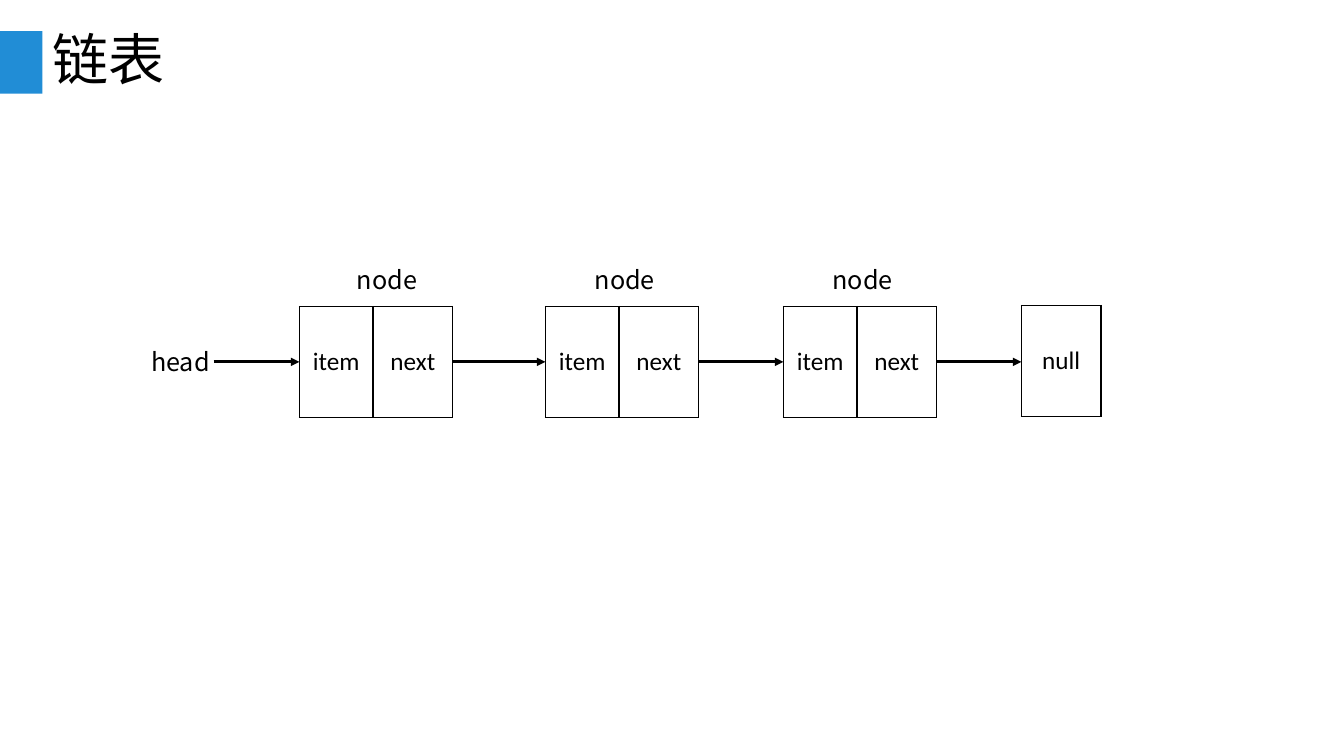
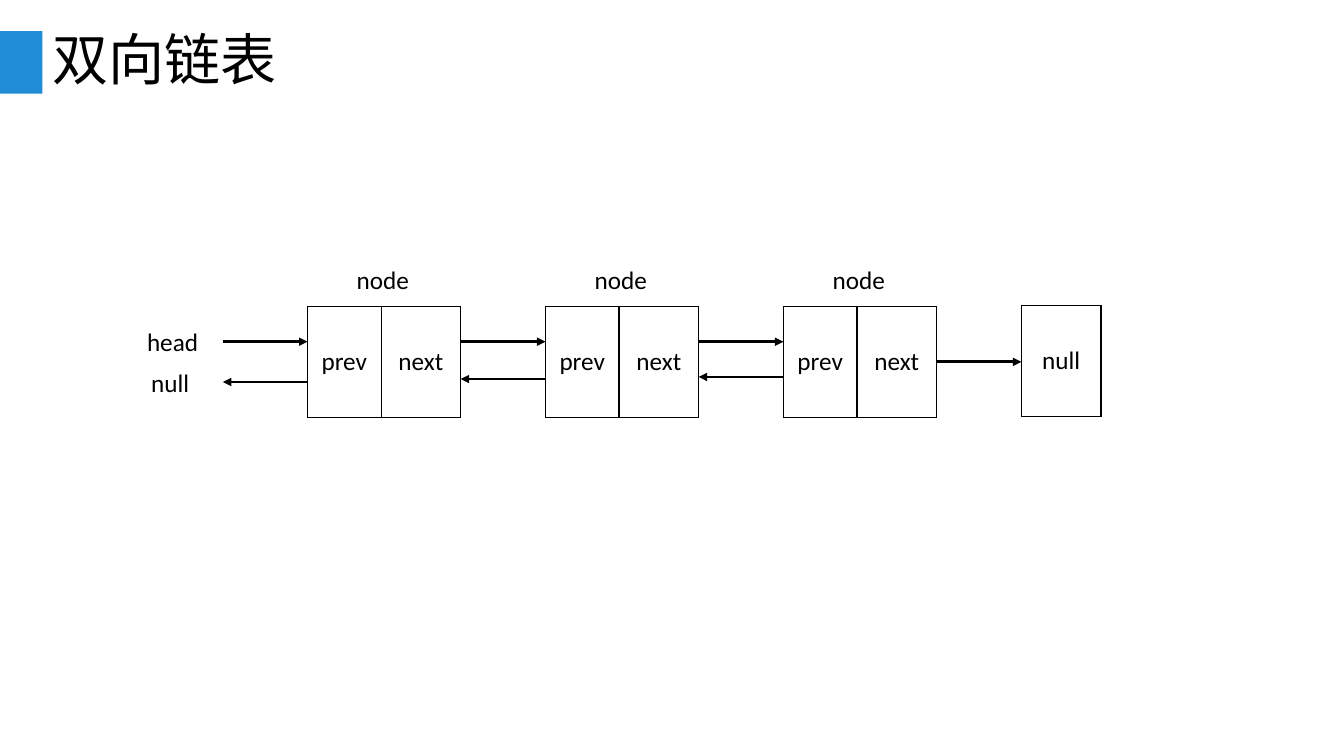
from dataclasses import dataclass
from typing import Any

from lxml import etree
from pptx import Presentation
from pptx import util as u
from pptx.dml import color
from pptx.enum import shapes, text
from pptx.oxml import ns

BLACK = "000000"
ACCENT = "218DD6"
SANS = "Noto Sans CJK SC"
CALIBRI = "Calibri"
PITCH = 2.36
NODE_LEFT = 3.05
NODE_TOP = 3.04
NODE_HEIGHT = 1.1
NODE_COLUMNS = (0.73, 0.79)
NODE_COUNT = 3
LABEL_LEFT = 3.44
LABEL_TOP = 2.57
LABEL_HEIGHT = 0.4
NULL_WIDTH = 0.79


@dataclass(frozen=True)
class Label:
    words: str
    left: float
    top: float
    width: float


@dataclass(frozen=True)
class LinkedList:
    title: str
    fields: tuple[str, str]
    first_left: float
    label_font: str
    label_width: float
    end_labels: tuple[Label, ...]
    head_end: float
    forward: tuple[float, ...]
    backward: tuple[float, ...] = ()


LISTS = (
    LinkedList(
        title="链表",
        fields=("item", "next"),
        first_left=2.97,
        label_font=SANS,
        label_width=0.82,
        end_labels=(Label("head", 1.4, 3.39, 0.8),),
        head_end=2.12,
        forward=(3.59, 3.59, 3.59, 3.59),
    ),
    LinkedList(
        title="双向链表",
        fields=("prev", "next"),
        first_left=NODE_LEFT,
        label_font=CALIBRI,
        label_width=0.73,
        end_labels=(Label("head", 1.36, 3.19, 0.72), Label("null", 1.4, 3.59, 0.58)),
        head_end=2.21,
        forward=(3.39, 3.39, 3.39, 3.59),
        backward=(3.79, 3.76, 3.74),
    ),
)


def rgb(value: str) -> color.RGBColor:
    return color.RGBColor.from_string(value)


def apply(target: Any, values: dict[str, Any]) -> None:
    for name, value in values.items():
        setattr(target, name, value)


def write(frame: Any, words: str, font: str, size: float, layout: dict[str, Any]) -> None:
    paragraph = frame.paragraphs[0]
    apply(paragraph, layout)
    run = paragraph.add_run()
    run.text = words
    apply(run.font, {"name": font, "size": u.Pt(size)})
    run.font.color.rgb = rgb(BLACK)
    properties = run.font._element
    etree.SubElement(properties, ns.qn("a:ea"), typeface=font)


def add_title(slide: Any, words: str) -> None:
    band = slide.shapes.add_shape(
        shapes.MSO_SHAPE.RECTANGLE, 0, u.Inches(0.31), u.Inches(0.42), u.Inches(0.62)
    )
    band.shadow.inherit = False
    band.fill.solid()
    band.fill.fore_color.rgb = rgb(ACCENT)
    band.line.fill.background()
    box = slide.shapes.add_textbox(
        u.Inches(0.42), u.Inches(0.3), u.Inches(12.5), u.Inches(0.64)
    )
    apply(box.text_frame, {"word_wrap": True, "vertical_anchor": text.MSO_ANCHOR.MIDDLE})
    write(box.text_frame, words, SANS, 40, {"line_spacing": 0.9})


def add_label(slide: Any, label: Label, font: str) -> None:
    box = slide.shapes.add_textbox(
        u.Inches(label.left), u.Inches(label.top), u.Inches(label.width), u.Inches(LABEL_HEIGHT)
    )
    apply(
        box.text_frame,
        {"word_wrap": False, "auto_size": text.MSO_AUTO_SIZE.SHAPE_TO_FIT_TEXT},
    )
    write(box.text_frame, label.words, font, 18, {})


def add_borders(cell: Any) -> None:
    properties = cell._tc.get_or_add_tcPr()
    for side in ("lnL", "lnR", "lnT", "lnB"):
        line = etree.SubElement(properties, ns.qn(f"a:{side}"), w=str(u.Pt(1)))
        fill = etree.SubElement(line, ns.qn("a:solidFill"))
        etree.SubElement(fill, ns.qn("a:srgbClr"), val=BLACK)


def add_cells(
    slide: Any, left: float, top: float, widths: tuple[float, ...], words: tuple[str, ...]
) -> None:
    table = slide.shapes.add_table(
        1, len(widths), u.Inches(left), u.Inches(top),
        u.Inches(sum(widths)), u.Inches(NODE_HEIGHT),
    ).table
    apply(table, {"first_row": False, "horz_banding": False})
    for column, width, cell, word in zip(table.columns, widths, table.iter_cells(), words):
        column.width = u.Inches(width)
        add_borders(cell)
        cell.fill.background()
        cell.vertical_anchor = text.MSO_ANCHOR.MIDDLE
        write(cell.text_frame, word, CALIBRI, 18, {"alignment": text.PP_ALIGN.CENTER})


def add_arrow(slide: Any, start: float, end: float, y: float) -> None:
    arrow = slide.shapes.add_connector(
        shapes.MSO_CONNECTOR.STRAIGHT, u.Inches(start), u.Inches(y), u.Inches(end), u.Inches(y)
    )
    arrow.line.color.rgb = rgb(BLACK)
    arrow.line.width = u.Pt(2)
    properties = arrow._element.spPr
    etree.SubElement(properties.find(ns.qn("a:ln")), ns.qn("a:tailEnd"), type="triangle")
    etree.SubElement(properties, ns.qn("a:effectLst"))


def draw_list(slide: Any, linked: LinkedList) -> None:
    add_title(slide, linked.title)
    stops = [linked.first_left] + [NODE_LEFT + PITCH * i for i in range(1, NODE_COUNT + 1)]
    exits = [linked.head_end] + [left + sum(NODE_COLUMNS) for left in stops[:NODE_COUNT]]
    for index, left in enumerate(stops[:NODE_COUNT]):
        add_cells(slide, left, NODE_TOP, NODE_COLUMNS, linked.fields)
        label = Label("node", LABEL_LEFT + PITCH * index, LABEL_TOP, linked.label_width)
        add_label(slide, label, linked.label_font)
    add_cells(slide, stops[-1], NODE_TOP - 0.01, (NULL_WIDTH,), ("null",))
    for label in linked.end_labels:
        add_label(slide, label, linked.label_font)
    for start, end, y in zip(exits, stops, linked.forward):
        add_arrow(slide, start, end, y)
    for start, end, y in zip(stops, exits, linked.backward):
        add_arrow(slide, start, end, y)


def main() -> None:
    presentation = Presentation()
    apply(presentation, {"slide_width": u.Inches(13.33), "slide_height": u.Inches(7.5)})
    for linked in LISTS:
        draw_list(presentation.slides.add_slide(presentation.slide_layouts[6]), linked)
    presentation.save("out.pptx")


main()
